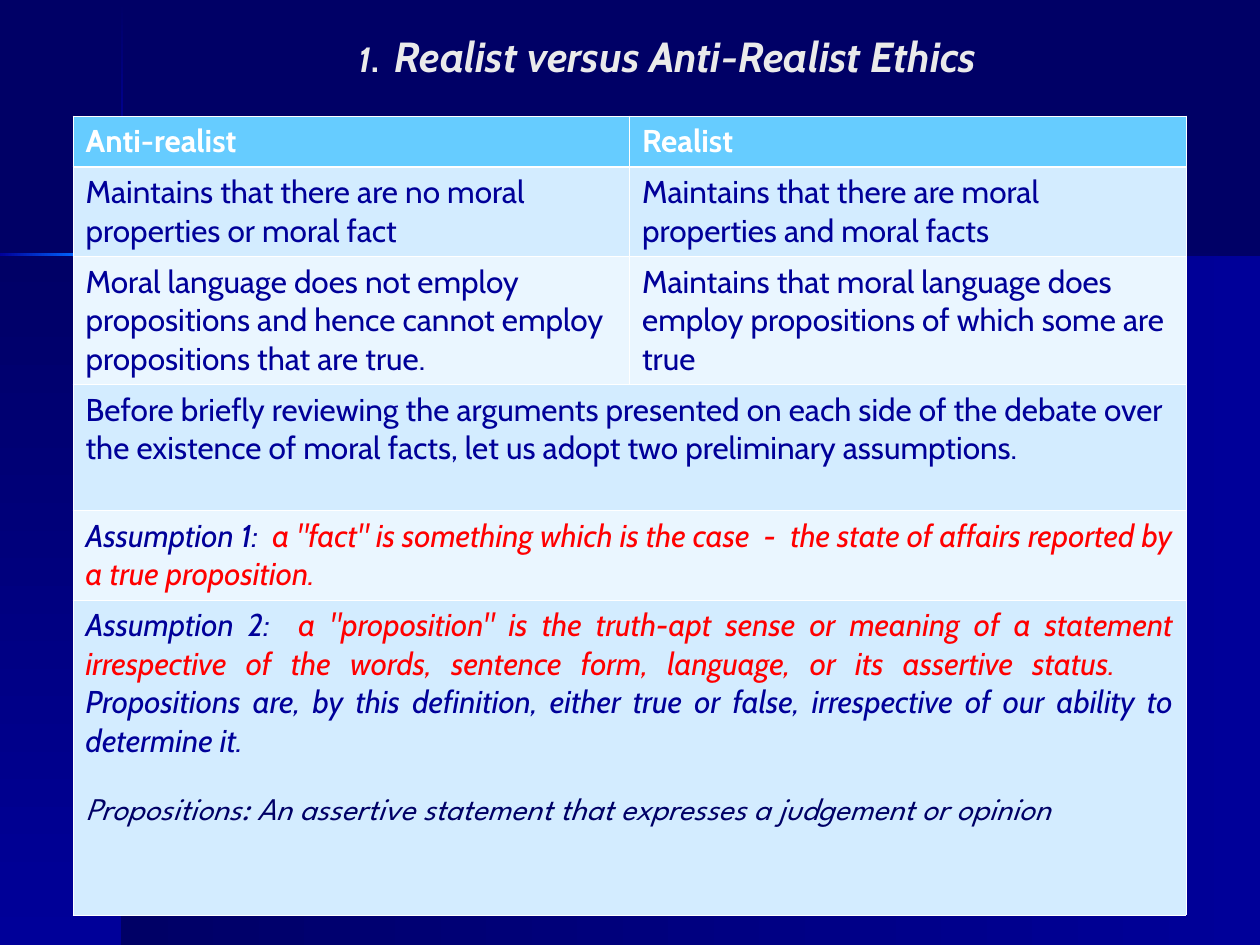
from dataclasses import dataclass

from lxml import etree
from pptx import Presentation, util as u
from pptx.dml.color import RGBColor
from pptx.enum import shapes, text
from pptx.oxml import ns

COLORS = {
    "night": "000066", "navy": "000099", "glow": "0066FF", "cream": "FFFFCC",
    "title": "EAEAEA", "white": "FFFFFF", "red": "FF0000",
    "header": "66CCFF", "band": "D3ECFF", "pale": "EAF6FF",
}
ACROSS, DOWN = 0, 90


@dataclass
class Panel:
    left: float
    top: float
    width: float
    height: float
    stops: tuple
    angle: int


@dataclass
class Span:
    words: str
    color: str = "navy"
    bold: bool = False
    italic: bool = False
    size: float = 18
    font: str = "Cabin"


@dataclass
class Row:
    height: float
    fill: str
    cells: list


PANELS = [
    Panel(69.84, 145.44, 650.16, 394.56, ("night", "navy"), ACROSS),
    Panel(0, 145.44, 69.84, 394.56, ("night", "navy"), DOWN),
    Panel(69.12, 0.72, 1.44, 86.4, ("night", "navy"), DOWN),
    Panel(69.12, 203.04, 1.44, 336.96, ("navy", "night"), DOWN),
    Panel(127.44, 144.72, 592.56, 1.44, ("navy", "night"), ACROSS),
    Panel(69.12, 171.36, 1.44, 31.68, ("glow", "navy"), DOWN),
    Panel(69.12, 87.12, 1.44, 31.68, ("navy", "glow"), DOWN),
    Panel(69.12, 118.8, 1.44, 52.56, ("glow", "cream", "glow"), DOWN),
    Panel(0, 144.72, 43.92, 1.44, ("navy", "glow"), ACROSS),
    Panel(95.76, 144.72, 31.68, 1.44, ("glow", "navy"), ACROSS),
    Panel(43.2, 144.72, 52.56, 1.44, ("glow", "cream", "glow"), ACROSS),
]

TITLE = [
    Span("1", "title", True, True, 20),
    Span(".  ", "title", True, False, 20),
    Span("Realist versus Anti-Realist Ethics", "title", True, True, 24),
]

ROWS = [
    Row(28.8, "header", [[[Span("Anti-realist", "white", True)]],
                         [[Span("Realist", "white", True)]]]),
    Row(50.4, "band", [
        [[Span("Maintains that there are no moral properties or moral fact")]],
        [[Span("Maintains that there are moral properties and moral facts ")]]]),
    Row(72, "pale", [
        [[Span("Moral language does not employ propositions and hence cannot "
               "employ propositions that are true.")]],
        [[Span("Maintains that moral language does employ propositions of "
               "which some are true")]]]),
    Row(72, "band", [
        [[Span("Before briefly reviewing the arguments presented on each side "
               "of the debate over the existence of moral facts, let us adopt "
               "two preliminary assumptions.")]]]),
    Row(50.4, "pale", [
        [[Span("Assumption 1:  ", italic=True),
          Span('a "fact" is something which is the case  -  the state of '
               "affairs reported by a true proposition.", "red", italic=True)]]]),
    Row(180, "band", [
        [[Span("Assumption 2: ", italic=True),
          Span(' a "proposition" is the truth-apt sense or meaning of a '
               "statement irrespective of the words, sentence form, language, "
               "or its assertive status.  ", "red", italic=True),
          Span("  Propositions are, by this definition, either true or false, "
               "irrespective of our ability to determine it.", italic=True)],
         [Span("Propositions: An assertive statement that expresses a "
               "judgement or opinion", "night", italic=True,
               font="League Spartan")]]]),
]


def rgb(name: str) -> RGBColor:
    return RGBColor.from_string(COLORS[name])


def add_color(parent, name: str) -> None:
    etree.SubElement(parent, ns.qn("a:srgbClr"), val=COLORS[name])


def draw_panel(s, panel: Panel) -> None:
    box = [u.Pt(v) for v in (panel.left, panel.top, panel.width, panel.height)]
    sp = s.shapes.add_shape(shapes.MSO_SHAPE.RECTANGLE, *box)
    sp.shadow.inherit = False
    sp.line.fill.background()
    sp.fill.gradient()
    sp.fill.gradient_angle = (360 - panel.angle) % 360
    stops = sp._element.spPr.find(".//" + ns.qn("a:gsLst"))
    for old in list(stops):
        stops.remove(old)
    for i, name in enumerate(panel.stops):
        pos = 100000 * i // (len(panel.stops) - 1)
        add_color(etree.SubElement(stops, ns.qn("a:gs"), pos=str(pos)), name)


def write_spans(p, spans: list) -> None:
    for span in spans:
        r = p.add_run()
        r.text = span.words
        formats = {"name": span.font, "size": u.Pt(span.size),
                   "bold": span.bold, "italic": span.italic}
        for key, value in formats.items():
            setattr(r.font, key, value)
        r.font.color.rgb = rgb(span.color)


def draw_title(s) -> None:
    sp = s.shapes.title
    box = {"left": 84.24, "top": 23.76, "width": 594, "height": 41.76}
    for key, value in box.items():
        setattr(sp, key, u.Pt(value))
    tf = sp.text_frame
    formats = {"auto_size": text.MSO_AUTO_SIZE.NONE, "word_wrap": True,
               "vertical_anchor": text.MSO_ANCHOR.MIDDLE,
               "margin_top": u.Pt(0), "margin_bottom": u.Pt(26)}
    for key, value in formats.items():
        setattr(tf, key, value)
    p = tf.paragraphs[0]
    p.alignment = text.PP_ALIGN.CENTER
    write_spans(p, TITLE)


def format_cell(cell, fill: str, widths: dict) -> None:
    props = cell._tc.get_or_add_tcPr()
    for side in ("L", "R", "T", "B"):
        width = u.Pt(widths.get(side, 0.45))
        line = etree.SubElement(props, ns.qn("a:ln" + side), w=str(int(width)))
        add_color(etree.SubElement(line, ns.qn("a:solidFill")), "white")
    cell.fill.solid()
    cell.fill.fore_color.rgb = rgb(fill)


def write_cell(cell, paragraphs: list) -> None:
    tf = cell.text_frame
    for i, spans in enumerate(paragraphs):
        p = tf.add_paragraph() if i else tf.paragraphs[0]
        if i:
            p.space_before = u.Pt(22)
        if len(paragraphs) > 1:
            p.alignment = text.PP_ALIGN.JUSTIFY
        write_spans(p, spans)


def draw_table(s) -> None:
    height = sum(row.height for row in ROWS)
    frame = s.shapes.add_table(len(ROWS), 2, u.Pt(41.76), u.Pt(66.24),
                               u.Pt(636), u.Pt(height))
    table = frame.table
    table.horz_banding = False
    for i, row in enumerate(ROWS):
        table.rows[i].height = u.Pt(row.height)
        widths = {0: {"B": 1.47}, 1: {"T": 1.47}}.get(i, {})
        for j in range(2):
            format_cell(table.cell(i, j), row.fill, widths)
        if len(row.cells) == 1:
            table.cell(i, 0).merge(table.cell(i, 1))
        for j, paragraphs in enumerate(row.cells):
            write_cell(table.cell(i, j), paragraphs)


def main() -> None:
    prs = Presentation()
    prs.slide_width, prs.slide_height = u.Pt(720), u.Pt(540)
    s = prs.slides.add_slide(prs.slide_layouts[5])
    s.background.fill.solid()
    s.background.fill.fore_color.rgb = rgb("night")
    for panel in PANELS:
        draw_panel(s, panel)
    draw_title(s)
    draw_table(s)
    prs.save("out.pptx")


if __name__ == "__main__":
    main()
